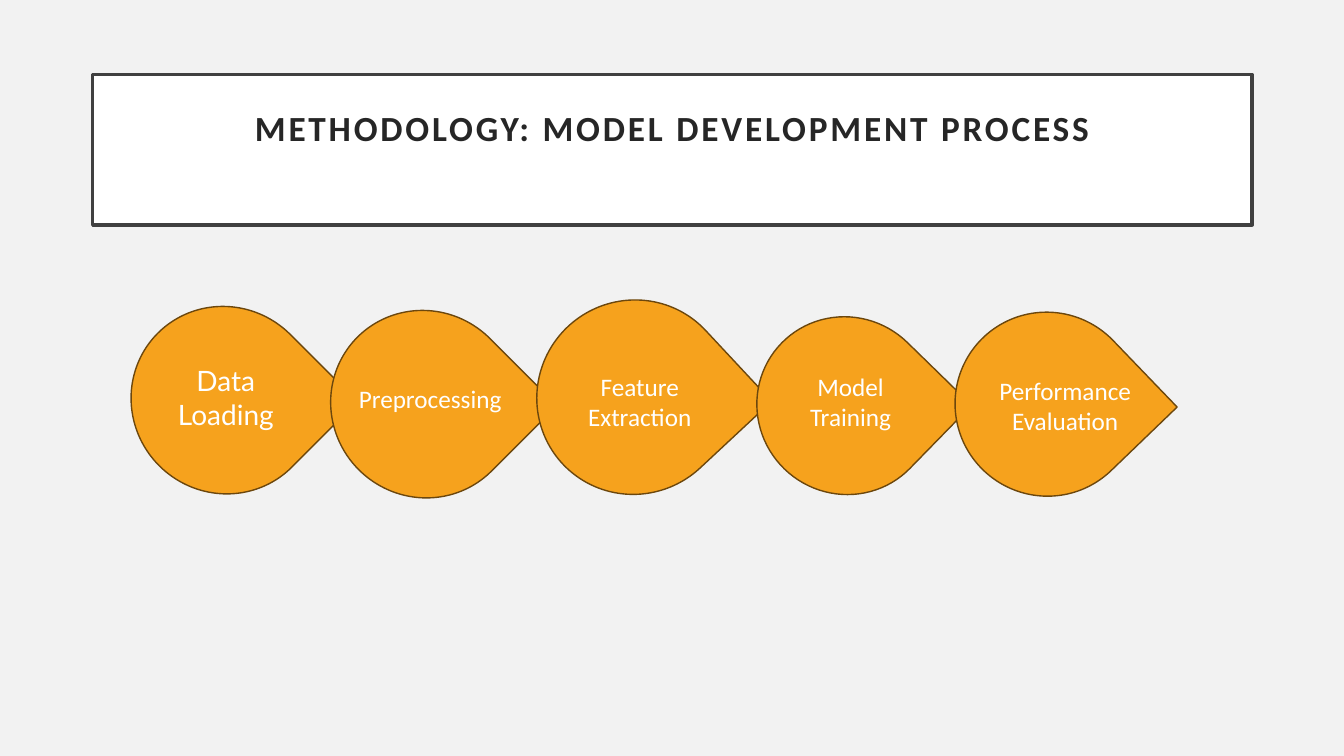
import pptx
import pptx.util
import pptx.dml.color
import pptx.enum.shapes
import pptx.enum.text

RGBColor = pptx.dml.color.RGBColor
SHAPE = pptx.enum.shapes.MSO_SHAPE
ALIGN = pptx.enum.text.PP_ALIGN
ANCHOR = pptx.enum.text.MSO_ANCHOR

BACKGROUND = RGBColor(0xF2, 0xF2, 0xF2)
WHITE = RGBColor(0xFF, 0xFF, 0xFF)
FRAME = RGBColor(0x40, 0x40, 0x40)
HEADING = RGBColor(0x26, 0x26, 0x26)
ORANGE = RGBColor(0xF6, 0xA2, 0x1D)
BROWN = RGBColor(0x6C, 0x47, 0x0D)

STEPS = [
    ("Data Loading", "Lato", 20, ALIGN.CENTER,
     (9.68, 40.67, 14.1, 24.53), 44.9, (12.08, 47.47, 9.45, 10.27)),
    ("Preprocessing", "Calibri", 18, ALIGN.LEFT,
     (24.53, 41.2, 14.1, 24.53), 45, (25.96, 50, 13.35, 5.33)),
    ("Feature Extraction", "Calibri", 18, ALIGN.CENTER,
     (39.98, 39.6, 14.4, 25.87), 47, (42.46, 48.4, 10.28, 9.47)),
    ("Model Training", "Calibri", 18, ALIGN.CENTER,
     (56.26, 42, 13.35, 23.33), 44.3, (58.89, 48.4, 8.78, 9.47)),
    ("Performance Evaluation", "Calibri", 18, ALIGN.CENTER,
     (71.04, 41.33, 13.73, 24.27), 46.1, (72.99, 48.93, 12.53, 9.47)),
]


class ProcessSlide:
    def __init__(self, deck):
        self.width, self.height = deck.slide_width, deck.slide_height
        self.slide = deck.slides.add_slide(deck.slide_layouts[6])
        self.slide.background.fill.solid()
        self.slide.background.fill.fore_color.rgb = BACKGROUND

    def place(self, percents):
        sides = (self.width, self.height) * 2
        return [round(side * share / 100) for side, share in zip(sides, percents)]

    def outline(self, kind, area, fill, line, weight):
        figure = self.slide.shapes.add_shape(kind, *self.place(area))
        figure.shadow.inherit = False
        figure.fill.solid()
        figure.fill.fore_color.rgb = fill
        figure.line.color.rgb = line
        figure.line.width = pptx.util.Pt(weight)
        return figure

    def set_words(self, frame, words, font, size, color, align):
        frame.word_wrap = True
        frame.text = words
        paragraph = frame.paragraphs[0]
        paragraph.alignment = align
        run = paragraph.runs[0]
        run.font.name = font
        run.font.size = pptx.util.Pt(size)
        run.font.color.rgb = color
        return paragraph

    def title(self, words, area):
        banner = self.outline(SHAPE.RECTANGLE, area, WHITE, FRAME, 2.5)
        frame = banner.text_frame
        frame.vertical_anchor = ANCHOR.MIDDLE
        frame.margin_left = frame.margin_right = frame.margin_top = pptx.util.Inches(0.2)
        frame.margin_bottom = pptx.util.Inches(0.6)
        paragraph = self.set_words(frame, words, "Calibri", 25.2, HEADING, ALIGN.CENTER)
        paragraph.line_spacing = 0.9
        run = paragraph.runs[0]
        run.font.bold = True
        run.font._element.set("spc", "200")

    def drop(self, area, angle):
        self.outline(SHAPE.TEAR, area, ORANGE, BROWN, 1).rotation = angle

    def label(self, words, font, size, align, area):
        box = self.slide.shapes.add_textbox(*self.place(area))
        self.set_words(box.text_frame, words, font, size, WHITE, align)


def main():
    deck = pptx.Presentation()
    deck.slide_width = pptx.util.Inches(13.33)
    deck.slide_height = pptx.util.Inches(7.5)
    process = ProcessSlide(deck)
    process.title("METHODOLOGY: MODEL DEVELOPMENT PROCESS", (6.9, 9.87, 86.27, 19.87))
    for *_, drop_area, angle, _ in STEPS:
        process.drop(drop_area, angle)
    for words, font, size, align, _, _, label_area in STEPS:
        process.label(words, font, size, align, label_area)
    deck.save("out.pptx")


if __name__ == "__main__":
    main()
